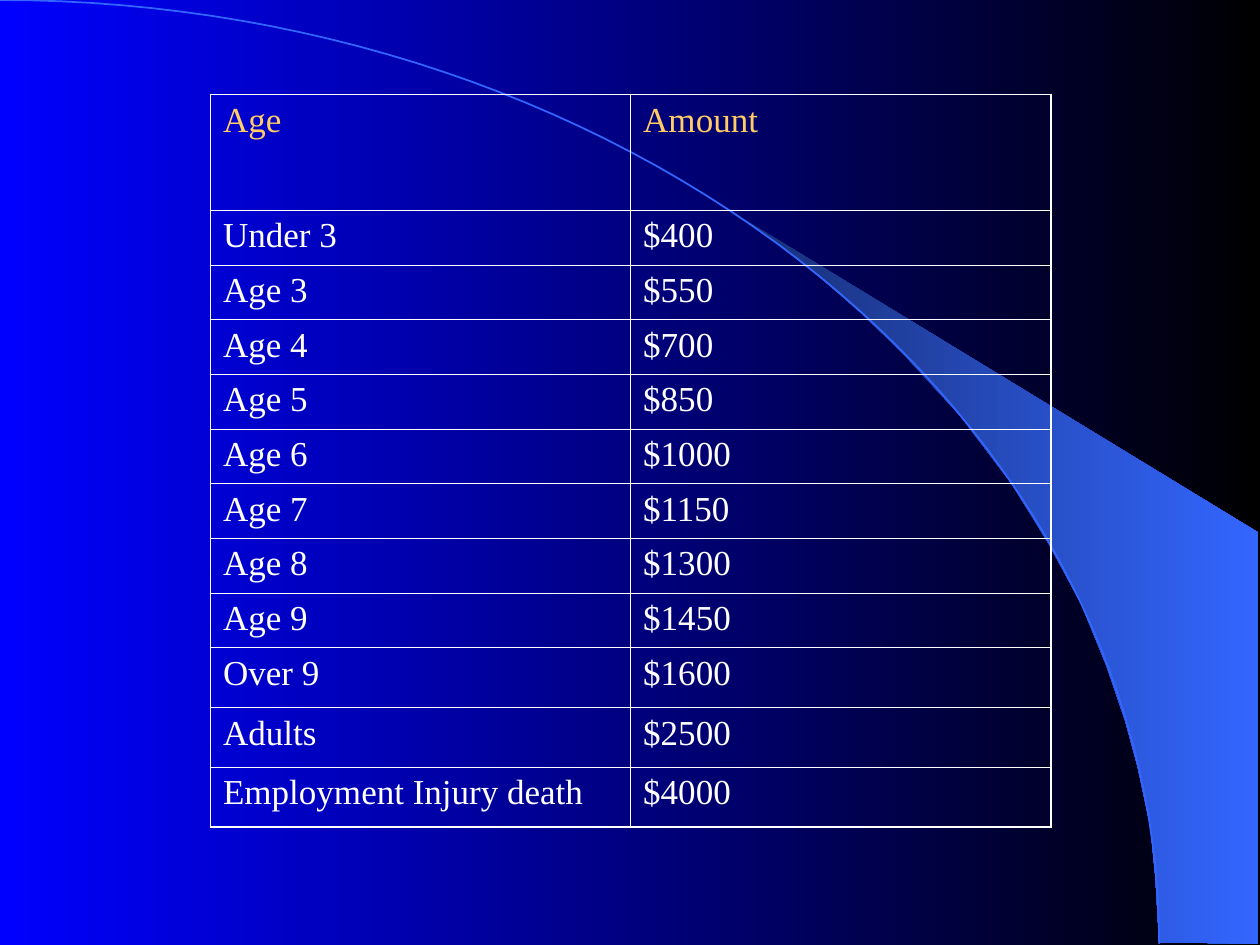
from dataclasses import dataclass
from math import cos, pi, sin

from lxml import etree
from pptx import Presentation
from pptx.dml.color import RGBColor
from pptx.oxml.ns import qn
from pptx.util import Inches, Pt


@dataclass(frozen=True)
class Theme:
    font: str = "Times New Roman"
    size: int = 20
    head: str = "FFCC66"
    text: str = "FFFFFF"
    back: tuple = ("0000FF", "000000")
    beam: tuple = ("182F76", "3366FF")
    arc: str = "3366FF"
    outer: float = 1.08
    inner: float = 0.45


THEME = Theme()

ROWS = [
    ("Age", "Amount"),
    ("Under 3", "$400"),
    ("Age 3", "$550"),
    ("Age 4", "$700"),
    ("Age 5", "$850"),
    ("Age 6", "$1000"),
    ("Age 7", "$1150"),
    ("Age 8", "$1300"),
    ("Age 9", "$1450"),
    ("Over 9", "$1600"),
    ("Adults", "$2500"),
    ("Employment Injury death", "$4000"),
]
HEIGHTS = [0.92] + [0.434] * 8 + [0.475] * 3

BEAM = [
    (9.2, 7.48), (9.99, 7.49), (9.99, 4.23), (5.89, 1.73), (6.24, 1.99),
    (6.53, 2.22), (6.85, 2.5), (7.16, 2.8), (7.62, 3.3), (8.03, 3.84),
    (8.32, 4.31), (8.58, 4.79), (8.78, 5.28), (8.93, 5.72), (9.03, 6.09),
    (9.13, 6.56), (9.17, 6.96),
]


def shade(fill, colors):
    """Fill from left to right between two colours."""
    fill.gradient()
    fill.gradient_angle = 0
    for stop, color in zip(fill.gradient_stops, colors):
        stop.color.rgb = RGBColor.from_string(color)


def add_path(slide, points, close):
    spots = [(Inches(x), Inches(y)) for x, y in points]
    path = slide.shapes.build_freeform(*spots[0])
    path.add_line_segments(spots[1:], close=close)
    shape = path.convert_to_shape()
    shape.shadow.inherit = False
    return shape


def add_beam(slide):
    shape = add_path(slide, BEAM, True)
    shade(shape.fill, THEME.beam)
    shape.line.fill.background()


def add_arc(slide, width, height, steps=60):
    """Draw a quarter ellipse from the top left corner."""
    turns = [pi / 2 * i / steps for i in range(steps + 1)]
    points = [(width * sin(t), height * (1 - cos(t))) for t in turns]
    shape = add_path(slide, points, False)
    shape.fill.background()
    shape.line.color.rgb = RGBColor.from_string(THEME.arc)
    shape.line.width = Pt(1)


def set_edges(cell, edges):
    """Rule the four sides; edges maps a side to whether it is outermost."""
    props = cell._tc.get_or_add_tcPr()
    for spot, (side, outer) in enumerate(edges.items()):
        width = Pt(THEME.outer if outer else THEME.inner)
        line = etree.Element(qn(f"a:ln{side}"), w=str(width))
        fill = etree.SubElement(line, qn("a:solidFill"))
        etree.SubElement(fill, qn("a:srgbClr"), val=THEME.text)
        props.insert(spot, line)


def set_text(cell, text, color):
    cell.text_frame.text = text
    font = cell.text_frame.paragraphs[0].runs[0].font
    font.name = THEME.font
    font.size = Pt(THEME.size)
    font.color.rgb = RGBColor.from_string(color)


def add_grid(slide, left, top, width):
    count, wide = len(ROWS), len(ROWS[0])
    frame = slide.shapes.add_table(
        count, wide, Inches(left), Inches(top),
        Inches(width), Inches(sum(HEIGHTS)))
    table = frame.table
    table.first_row = table.horz_banding = False
    for row, height in zip(table.rows, HEIGHTS):
        row.height = Inches(height)
    for r, texts in enumerate(ROWS):
        for c, text in enumerate(texts):
            cell = table.cell(r, c)
            cell.fill.background()
            set_text(cell, text, THEME.text if r else THEME.head)
            set_edges(cell, {"L": c == 0, "R": c == wide - 1,
                             "T": r == 0, "B": r == count - 1})


def main():
    deck = Presentation()
    deck.slide_width, deck.slide_height = Inches(10), Inches(7.5)
    slide = deck.slides.add_slide(deck.slide_layouts[6])

    # Backdrop
    shade(slide.background.fill, THEME.back)
    add_beam(slide)
    add_arc(slide, 9.2, 7.49)

    # Amounts by age
    add_grid(slide, 1.67, 0.75, 6.67)

    deck.save("out.pptx")


if __name__ == "__main__":
    main()
